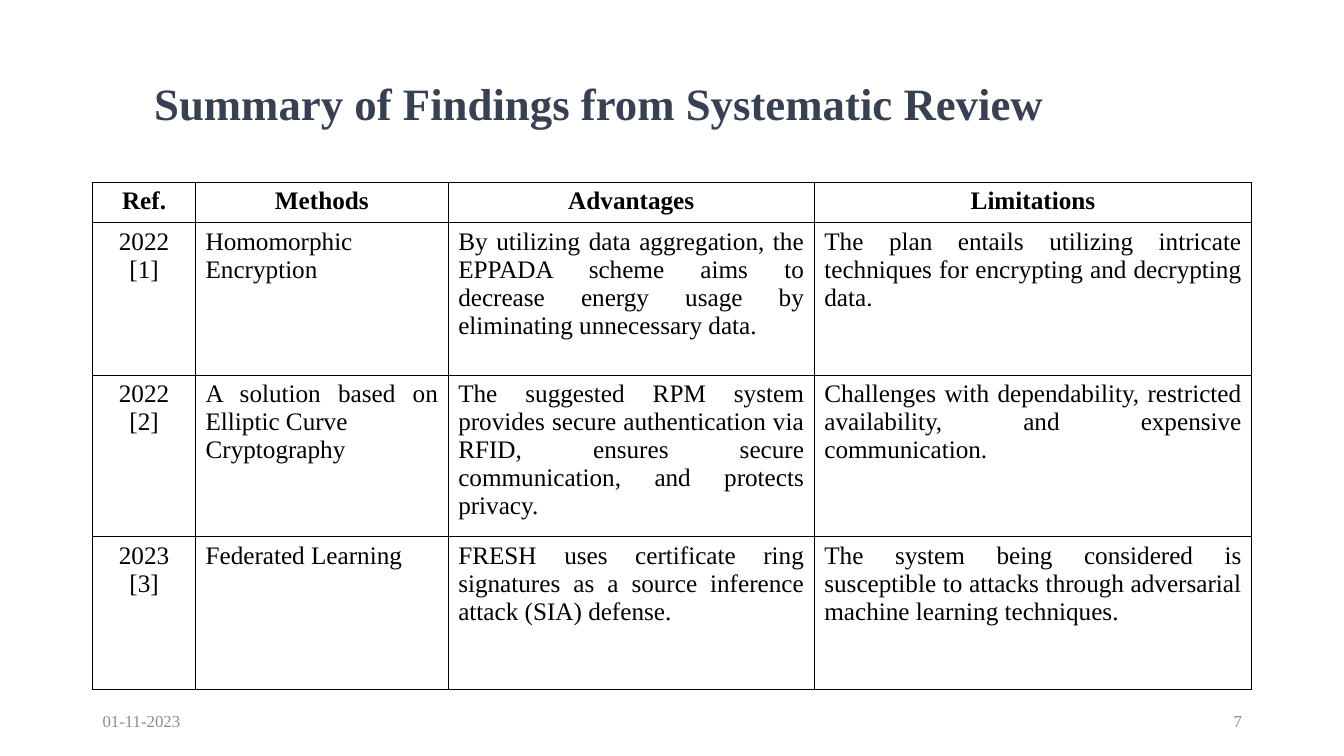
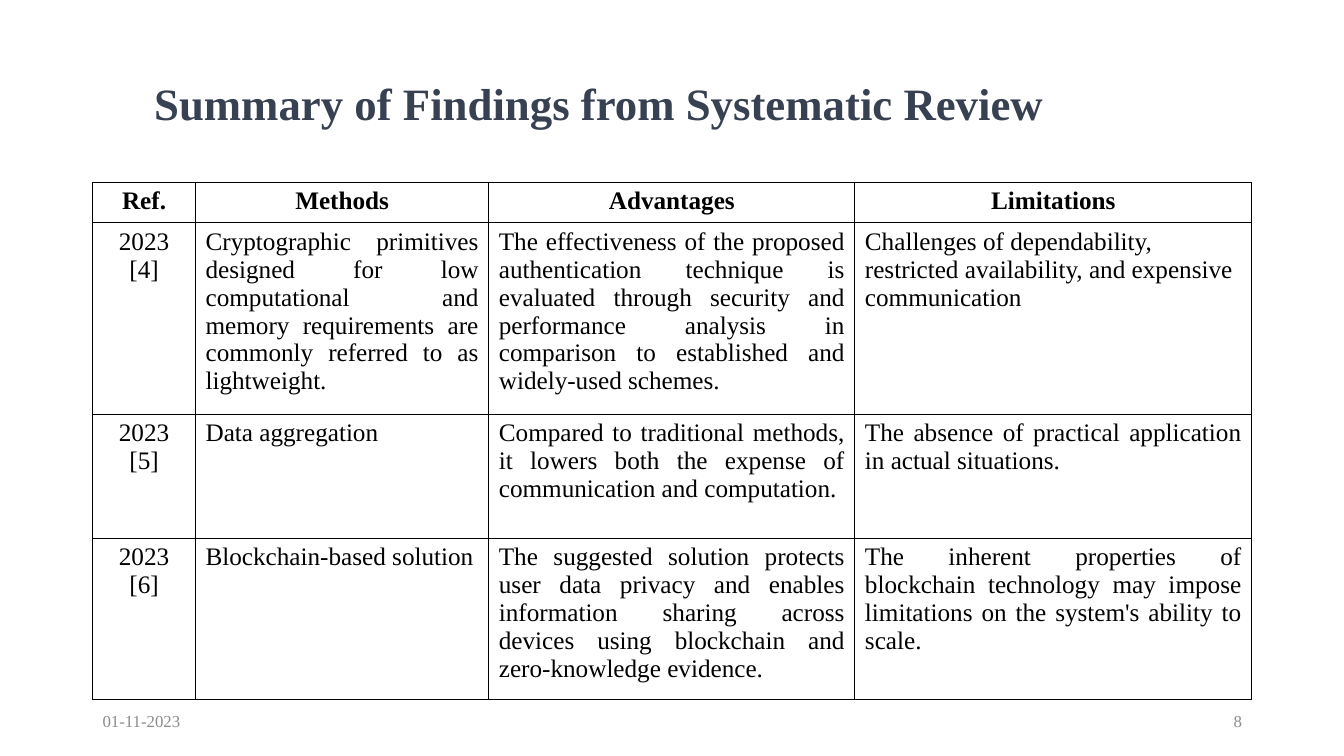
import pptx
import pptx.dml.color
import pptx.enum.text
import pptx.oxml
import pptx.oxml.ns
import pptx.util

Pt = pptx.util.Pt
Align = pptx.enum.text.PP_ALIGN
Color = pptx.dml.color.RGBColor.from_string

# Theme: colours and type sizes
FACE = "Times New Roman"
theme = {
    "title": {"name": FACE, "size": Pt(32), "bold": True, "color": "374151"},
    "foot": {"name": FACE, "size": Pt(12), "bold": False, "color": "8C8C8C"},
    "head": {"name": FACE, "size": Pt(18), "bold": True, "color": "000000"},
    "body": {"name": FACE, "size": Pt(18), "bold": False, "color": "000000"},
    "rule": "000000",
}
LEFT, WIDTH = 66.2, 828

# Content
title = "Summary of Findings from Systematic Review"
date = "01-11-2023"
heads = ("Ref.", "Methods", "Advantages", "Limitations")
rows = (28, 109, 88.5, 109)
pages = [
    {
        "num": "7",
        "cols": (73.5, 180.5, 261.5, 312.5),
        "flush": (),
        "data": [
            ("2022\n[1]", "Homomorphic\nEncryption",
             "By utilizing data aggregation, the EPPADA scheme aims to decrease "
             "energy usage by eliminating unnecessary data.",
             "The plan entails utilizing intricate techniques for encrypting and "
             "decrypting data."),
            ("2022\n[2]", "A solution based on Elliptic Curve\nCryptography",
             "The suggested RPM system provides secure authentication via RFID, "
             "ensures secure communication, and protects privacy.",
             "Challenges with dependability, restricted availability, and "
             "expensive communication."),
            ("2023\n[3]", "Federated Learning",
             "FRESH uses certificate ring signatures as a source inference "
             "attack (SIA) defense.",
             "The system being considered is susceptible to attacks through "
             "adversarial machine learning techniques."),
        ],
    },
    {
        "num": "8",
        "cols": (73.5, 209.5, 261.5, 283.5),
        "flush": ((1, 3),),
        "data": [
            ("2023\n[4]",
             "Cryptographic primitives designed for low computational and memory "
             "requirements are commonly referred to as lightweight.",
             "The effectiveness of the proposed authentication technique is "
             "evaluated through security and performance analysis in comparison "
             "to established and widely-used schemes.",
             "Challenges of dependability, restricted availability, and "
             "expensive communication"),
            ("2023\n[5]", "Data aggregation",
             "Compared to traditional methods, it lowers both the expense of "
             "communication and computation.",
             "The absence of practical application in actual situations."),
            ("2023\n[6]", "Blockchain-based solution",
             "The suggested solution protects user data privacy and enables "
             "information sharing across devices using blockchain and "
             "zero-knowledge evidence.",
             "The inherent properties of blockchain technology may impose "
             "limitations on the system's ability to scale."),
        ],
    },
]


def write(frame, text, style, align):
    """Fill a text frame and format each of its paragraphs."""
    frame.text = text
    for para in frame.paragraphs:
        para.alignment = align
        font = para.runs[0].font
        for key, value in theme[style].items():
            if key == "color":
                font.color.rgb = Color(value)
            else:
                setattr(font, key, value)


def edge(cell):
    """Rule all four sides of a cell and leave it unfilled."""
    props = cell._tc.get_or_add_tcPr()
    for side in ("lnL", "lnR", "lnT", "lnB"):
        props.append(pptx.oxml.parse_xml(
            f'<a:{side} {pptx.oxml.ns.nsdecls("a")} w="{Pt(1)}"><a:solidFill>'
            f'<a:srgbClr val="{theme["rule"]}"/></a:solidFill></a:{side}>'))
    cell.fill.background()


deck = pptx.Presentation()
deck.slide_width, deck.slide_height = Pt(960), Pt(540)

for page in pages:
    slide = deck.slides.add_slide(deck.slide_layouts[6])

    # Title
    box = slide.shapes.add_textbox(Pt(103), Pt(50.4), Pt(656), Pt(46))
    box.text_frame.word_wrap = False
    box.text_frame.auto_size = pptx.enum.text.MSO_AUTO_SIZE.SHAPE_TO_FIT_TEXT
    write(box.text_frame, title, "title", Align.LEFT)

    # Footer: date and page number
    wide = 216
    for text, left, align in (
        (date, LEFT, Align.LEFT),
        (page["num"], LEFT + WIDTH - wide, Align.RIGHT),
    ):
        box = slide.shapes.add_textbox(Pt(left), Pt(500.5), Pt(wide), Pt(28.8))
        box.text_frame.word_wrap = True
        box.text_frame.vertical_anchor = pptx.enum.text.MSO_ANCHOR.MIDDLE
        write(box.text_frame, text, "foot", align)

    # Table of findings
    grid = slide.shapes.add_table(
        len(rows), len(heads), Pt(LEFT), Pt(130.3), Pt(WIDTH), Pt(sum(rows))).table
    for key in ("first_row", "horz_banding"):
        setattr(grid, key, False)
    for col, size in zip(grid.columns, page["cols"]):
        col.width = Pt(size)
    for row, size in zip(grid.rows, rows):
        row.height = Pt(size)
    for r, line in enumerate([heads] + page["data"]):
        for c, text in enumerate(line):
            if r == 0 or c == 0:
                align = Align.CENTER
            elif (r, c) in page["flush"]:
                align = Align.LEFT
            else:
                align = Align.JUSTIFY
            cell = grid.cell(r, c)
            write(cell.text_frame, text, "body" if r else "head", align)
            edge(cell)

deck.save("out.pptx")
